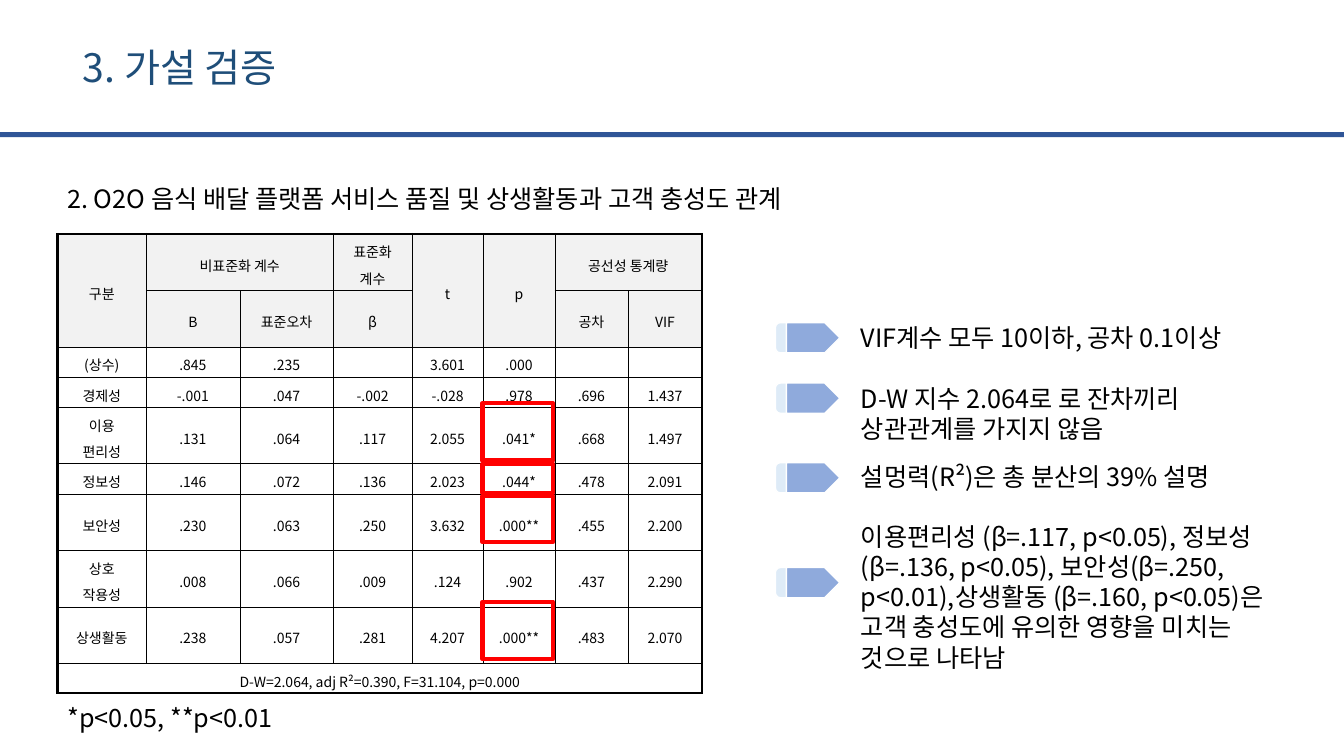
from lxml.etree import SubElement
from pptx import Presentation
from pptx.dml.color import RGBColor as RGB
from pptx.enum.shapes import MSO_SHAPE as SHAPE
from pptx.enum.text import MSO_ANCHOR as ANCHOR, MSO_AUTO_SIZE as AUTO, PP_ALIGN as ALIGN
from pptx.oxml import parse_xml
from pptx.oxml.ns import nsdecls, qn
from pptx.util import Inches, Pt

FONT = "Noto Sans CJK KR"
COLORS = {
    "text": "000000", "title": "1F4E79", "rule": "2F5597", "head": "F2F2F2",
    "mark": "FF0000", "tail": "DEEBF7", "arrow": "8FAADC", "edge": "FFFFFF",
}
SLIDE = (0, 0, Inches(13.33), Inches(7.5))

COL_SHARES = [88, 93, 93, 78, 71, 71, 73, 73]
ROW_SHARES = [56, 56, 30, 30, 56, 30, 56, 56, 56, 30]
ROWS = [
    ["구분", "비표준화 계수", "", "표준화\n계수", "t", "p", "공선성 통계량", ""],
    ["", "B", "표준오차", "β", "", "", "공차", "VIF"],
    ["(상수)", ".845", ".235", "", "3.601", ".000", "", ""],
    ["경제성", "-.001", ".047", "-.002", "-.028", ".978", ".696", "1.437"],
    ["이용\n편리성", ".131", ".064", ".117", "2.055", ".041*", ".668", "1.497"],
    ["정보성", ".146", ".072", ".136", "2.023", ".044*", ".478", "2.091"],
    ["보안성", ".230", ".063", ".250", "3.632", ".000**", ".455", "2.200"],
    ["상호\n작용성", ".008", ".066", ".009", ".124", ".902", ".437", "2.290"],
    ["상생활동", ".238", ".057", ".281", "4.207", ".000**", ".483", "2.070"],
    ["D-W=2.064, adj R²=0.390, F=31.104, p=0.000"] + [""] * 7,
]
MERGES = [(0, 0, 1, 0), (0, 1, 0, 2), (0, 4, 1, 4), (0, 5, 1, 5), (0, 6, 0, 7), (9, 0, 9, 7)]
MARKS = [(36.84, 12.5), (50, 6.36), (57.02, 10.09), (80.04, 12.5)]
FINDINGS = [
    (42, 5.33, 42.67, "VIF계수 모두 10이하, 공차 0.1이상"),
    (50, 9.47, 50.67, "D-W 지수 2.064로 로 잔차끼리 상관관계를 가지지 않음"),
    (60.4, 5.33, 61.2, "설멍력(R²)은 총 분산의 39% 설명"),
    (68.27, 17.47, 75.07,
     "이용편리성 (β=.117, p<0.05), 정보성(β=.136, p<0.05), 보안성(β=.250, p<0.01),"
     "상생활동 (β=.160, p<0.05)은 고객 충성도에 유의한 영향을 미치는 것으로 나타남"),
]


def color(name):
    return RGB.from_string(COLORS[name])


def part(box, x, y, w, h):
    left, top, width, height = box
    return (left + int(width * x / 100), top + int(height * y / 100),
            int(width * w / 100), int(height * h / 100))


def style_text(tf, size, name="text", spacing=1.0, align=ALIGN.LEFT):
    for p in tf.paragraphs:
        p.alignment = align
        p.line_spacing = spacing
        for r in p.runs:
            r.font.size = Pt(size)
            r.font.name = FONT
            r.font.color.rgb = color(name)
            SubElement(r.font._element, qn("a:ea")).set("typeface", FONT)
        if not p.runs:
            SubElement(p._p, qn("a:endParaRPr")).set("sz", str(size * 100))


def add_label(s, box, text):
    tf = s.shapes.add_textbox(*box).text_frame
    tf.word_wrap = True
    tf.auto_size = AUTO.SHAPE_TO_FIT_TEXT
    tf.text = text
    style_text(tf, 18)


def add_block(shapes, kind, box, fill=None, line=None, width=1):
    sp = shapes.add_shape(kind, *box)
    sp.shadow.inherit = False
    if fill:
        sp.fill.solid()
        sp.fill.fore_color.rgb = color(fill)
    else:
        sp.fill.background()
    if line:
        sp.line.color.rgb = color(line)
        sp.line.width = Pt(width)
    else:
        sp.line.fill.background()


def add_header(s, box):
    add_block(s.shapes, SHAPE.RECTANGLE, part(box, 0, 17.47, 100, 0.67), "rule")
    title = s.shapes.title
    title.left, title.top, title.width, title.height = part(box, 5.4, 5.07, 17.93, 7.6)
    tf = title.text_frame
    tf.text = "3. 가설 검증"
    tf.word_wrap = False
    tf.auto_size = AUTO.SHAPE_TO_FIT_TEXT
    tf.vertical_anchor = ANCHOR.TOP
    style_text(tf, 28, "title")


def set_borders(cell, row, col):
    last_row = row + (cell.span_height if cell.is_merge_origin else 1) == len(ROWS)
    last_col = col + (cell.span_width if cell.is_merge_origin else 1) == len(COL_SHARES)
    outer = {"L": col == 0, "R": last_col, "T": row == 0, "B": last_row}
    props = cell._tc.get_or_add_tcPr()
    for i, (side, thick) in enumerate(outer.items()):
        width = Pt(1.7 if thick else 0.25)
        props.insert(i, parse_xml(
            f'<a:ln{side} {nsdecls("a")} w="{width}"><a:solidFill>'
            f'<a:srgbClr val="{COLORS["text"]}"/></a:solidFill></a:ln{side}>'))


def fill_cell(cell, row, col):
    if row < 2:
        cell.fill.solid()
        cell.fill.fore_color.rgb = color("head")
    else:
        cell.fill.background()
    cell.margin_left = cell.margin_right = Inches(0.07)
    cell.margin_top = cell.margin_bottom = Inches(0.02)
    cell.vertical_anchor = ANCHOR.MIDDLE
    cell.text_frame.text = ROWS[row][col]
    style_text(cell.text_frame, 10, spacing=1.3, align=ALIGN.CENTER)
    set_borders(cell, row, col)


def add_results(s, box):
    tbl = s.shapes.add_table(len(ROWS), len(COL_SHARES), *box).table
    tbl.first_row = tbl.horz_banding = False
    for column, share in zip(tbl.columns, COL_SHARES):
        column.width = int(box[2] * share / sum(COL_SHARES))
    for row, share in zip(tbl.rows, ROW_SHARES):
        row.height = int(box[3] * share / sum(ROW_SHARES))
    for r1, c1, r2, c2 in MERGES:
        tbl.cell(r1, c1).merge(tbl.cell(r2, c2))
    for row in range(len(ROWS)):
        for col in range(len(COL_SHARES)):
            fill_cell(tbl.cell(row, col), row, col)
    for top, height in MARKS:
        add_block(s.shapes, SHAPE.RECTANGLE, part(box, 65.96, top, 10.95, height),
                  line="mark", width=3)


def add_findings(s, box):
    for top, height, arrow_top, text in FINDINGS:
        add_label(s, part(box, 63.32, top, 33.76, height), text)
        group = s.shapes.add_group_shape().shapes
        add_block(group, SHAPE.ROUNDED_RECTANGLE, part(box, 57.69, arrow_top, 2.55, 4),
                  "tail", "edge")
        add_block(group, SHAPE.PENTAGON, part(box, 58.51, arrow_top, 3.98, 4), "arrow", "edge")


def main():
    prs = Presentation()
    prs.slide_width, prs.slide_height = SLIDE[2:]
    s = prs.slides.add_slide(prs.slide_layouts[5])
    add_header(s, SLIDE)
    add_label(s, part(SLIDE, 4.28, 23.6, 86.2, 5.33),
              "2. O2O 음식 배달 플랫폼 서비스 품질 및 상생활동과 고객 충성도 관계")
    add_results(s, part(SLIDE, 4.28, 30.93, 47.94, 60.8))
    add_findings(s, SLIDE)
    add_label(s, part(SLIDE, 4.28, 92.27, 33.76, 5.33), "*p<0.05, **p<0.01")
    prs.save("out.pptx")


if __name__ == "__main__":
    main()
